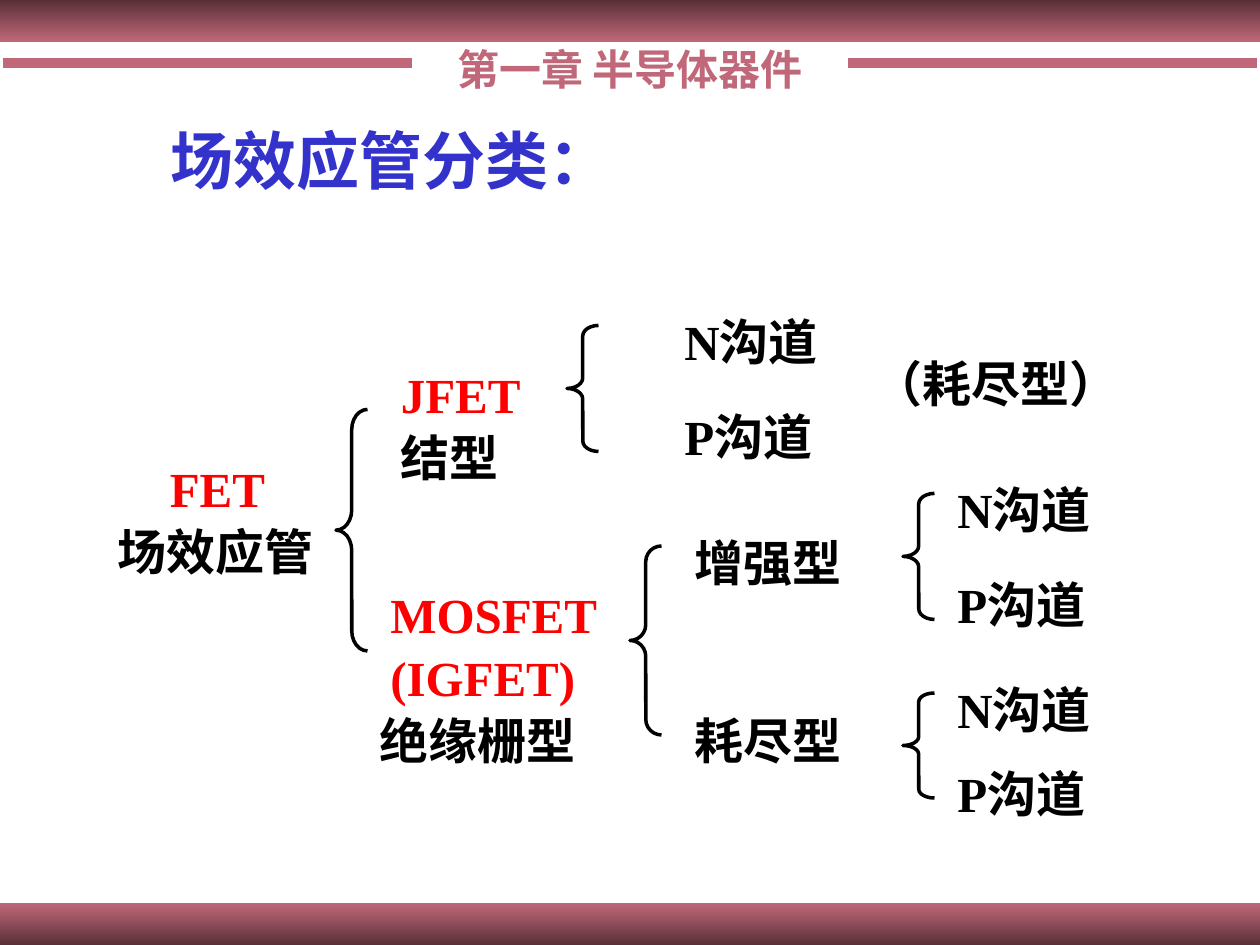
from dataclasses import dataclass
from typing import Any

from lxml import etree
from pptx import Presentation
from pptx.dml.color import RGBColor
from pptx.enum.shapes import MSO_CONNECTOR, MSO_SHAPE
from pptx.enum.text import MSO_ANCHOR, MSO_AUTO_SIZE, PP_ALIGN
from pptx.oxml.ns import qn
from pptx.util import Pt

RECTANGLE = MSO_SHAPE.RECTANGLE
LEFT_BRACE = MSO_SHAPE.LEFT_BRACE
STRAIGHT = MSO_CONNECTOR.STRAIGHT
TOP, MIDDLE = MSO_ANCHOR.TOP, MSO_ANCHOR.MIDDLE
LEFT, CENTER = PP_ALIGN.LEFT, PP_ALIGN.CENTER
FIT_SHAPE, NO_FIT = MSO_AUTO_SIZE.SHAPE_TO_FIT_TEXT, MSO_AUTO_SIZE.NONE


@dataclass(frozen=True)
class Theme:
    rose: RGBColor = RGBColor(0xC0, 0x68, 0x79)
    wine: RGBColor = RGBColor(0x59, 0x30, 0x38)
    blue: RGBColor = RGBColor(0x33, 0x33, 0xCC)
    red: RGBColor = RGBColor(0xFF, 0x00, 0x00)
    black: RGBColor = RGBColor(0x00, 0x00, 0x00)
    latin: str = "Times New Roman"
    chinese: str = "Noto Sans CJK JP"
    chapter_size: float = 24
    title_size: float = 36
    label_size: float = 28


THEME = Theme()
SLIDE_WIDTH, SLIDE_HEIGHT = 720, 540
BAND_HEIGHT = 24
RULE_WIDTH, RULE_MARGIN, RULE_TOP = 234, 1.5, 36
LABEL_HEIGHT = 47.5
BRACE_WIDTH = 18


@dataclass(frozen=True)
class Label:
    text: str
    left: float
    top: float
    width: float = 102
    color: RGBColor = THEME.black


@dataclass(frozen=True)
class Brace:
    left: float
    top: float
    height: float


@dataclass(frozen=True)
class Channels:
    left: float
    top: float
    gap: float


CHANNEL_PAIRS = (Channels(384, 168, 54), Channels(540, 264, 54), Channels(540, 378, 48))
TYPE_LABELS = (
    Label("增强型", 390, 294),
    Label("耗尽型", 390, 396),
    Label("（耗尽型）", 492, 192, 156),
)
BRACES = (
    Brace(192, 234, 138),
    Brace(324, 186, 72),
    Brace(360, 312, 108),
    Brace(516, 282, 72),
    Brace(516, 396, 60),
)
DEVICE_GROUPS = (
    (Label("FET", 90, 252, color=THEME.red), Label("场效应管", 60, 288, 138)),
    (Label("JFET", 222, 198, color=THEME.red), Label("结型", 222, 234)),
    (
        Label("MOSFET", 216, 324, 150, THEME.red),
        Label("(IGFET)", 216, 360, 144, THEME.red),
        Label("绝缘栅型", 210, 396, 144),
    ),
)


def write_text(shape: Any, text: str, size: float, color: RGBColor,
               latin: str = THEME.latin, align: PP_ALIGN = LEFT) -> None:
    paragraph = shape.text_frame.paragraphs[0]
    paragraph.alignment = align
    run = paragraph.add_run()
    run.text = text
    run.font.size = Pt(size)
    run.font.bold = True
    run.font.color.rgb = color
    run.font.name = latin
    east_asian = etree.SubElement(run.font._element, qn("a:ea"))
    east_asian.set("typeface", THEME.chinese)


def add_band(shapes: Any, top: float, first: RGBColor, last: RGBColor) -> None:
    band = shapes.add_shape(RECTANGLE, Pt(0), Pt(top), Pt(SLIDE_WIDTH), Pt(BAND_HEIGHT))
    band.shadow.inherit = False
    band.line.fill.background()
    band.fill.gradient()
    band.fill.gradient_angle = 270
    for stop, color in zip(band.fill.gradient_stops, (first, last)):
        stop.color.rgb = color


def add_rule(shapes: Any, left: float) -> None:
    rule = shapes.add_connector(STRAIGHT, Pt(left), Pt(RULE_TOP),
                                Pt(left + RULE_WIDTH), Pt(RULE_TOP))
    rule.line.color.rgb = THEME.rose
    rule.line.width = Pt(6)
    etree.SubElement(rule._element.spPr, qn("a:effectLst"))


def add_chapter(shapes: Any) -> None:
    chapter = shapes.add_textbox(Pt(240), Pt(24), Pt(240), Pt(30))
    chapter.text_frame.word_wrap = False
    chapter.text_frame.vertical_anchor = MIDDLE
    chapter.text_frame.auto_size = NO_FIT
    write_text(chapter, "第一章 半导体器件", THEME.chapter_size, THEME.rose,
               THEME.chinese, CENTER)


def format_title(title: Any) -> None:
    title.left, title.top, title.width, title.height = Pt(90), Pt(66), Pt(354), Pt(50.5)
    title.text_frame.word_wrap = True
    title.text_frame.vertical_anchor = TOP
    title.text_frame.auto_size = FIT_SHAPE
    write_text(title, "场效应管分类：", THEME.title_size, THEME.blue)


def add_label(shapes: Any, label: Label) -> None:
    box = shapes.add_textbox(Pt(label.left), Pt(label.top), Pt(label.width), Pt(LABEL_HEIGHT))
    box.text_frame.word_wrap = True
    box.text_frame.auto_size = FIT_SHAPE
    box.text_frame.paragraphs[0].line_spacing = 1.2
    write_text(box, label.text, THEME.label_size, label.color)


def add_channels(shapes: Any, channels: Channels) -> None:
    for index, text in enumerate(("N沟道", "P沟道")):
        add_label(shapes, Label(text, channels.left, channels.top + index * channels.gap))


def add_brace(shapes: Any, brace: Brace) -> None:
    shape = shapes.add_shape(LEFT_BRACE, Pt(brace.left), Pt(brace.top),
                             Pt(BRACE_WIDTH), Pt(brace.height))
    shape.shadow.inherit = False
    shape.adjustments[0] = brace.height / 12 / BRACE_WIDTH
    shape.adjustments[1] = 0.5
    shape.fill.background()
    shape.line.color.rgb = THEME.black
    shape.line.width = Pt(2)


def main() -> None:
    presentation = Presentation()
    presentation.slide_width, presentation.slide_height = Pt(SLIDE_WIDTH), Pt(SLIDE_HEIGHT)
    slide = presentation.slides.add_slide(presentation.slide_layouts[5])
    shapes = slide.shapes
    format_title(shapes.title)
    add_band(shapes, 0, THEME.wine, THEME.rose)
    add_band(shapes, SLIDE_HEIGHT - BAND_HEIGHT, THEME.rose, THEME.wine)
    for left in (RULE_MARGIN, SLIDE_WIDTH - RULE_MARGIN - RULE_WIDTH):
        add_rule(shapes, left)
    add_chapter(shapes)
    for channels in CHANNEL_PAIRS:
        add_channels(shapes, channels)
    for label in TYPE_LABELS:
        add_label(shapes, label)
    for brace in BRACES:
        add_brace(shapes, brace)
    for labels in DEVICE_GROUPS:
        group = shapes.add_group_shape()
        for label in labels:
            add_label(group.shapes, label)
    presentation.save("out.pptx")


if __name__ == "__main__":
    main()
